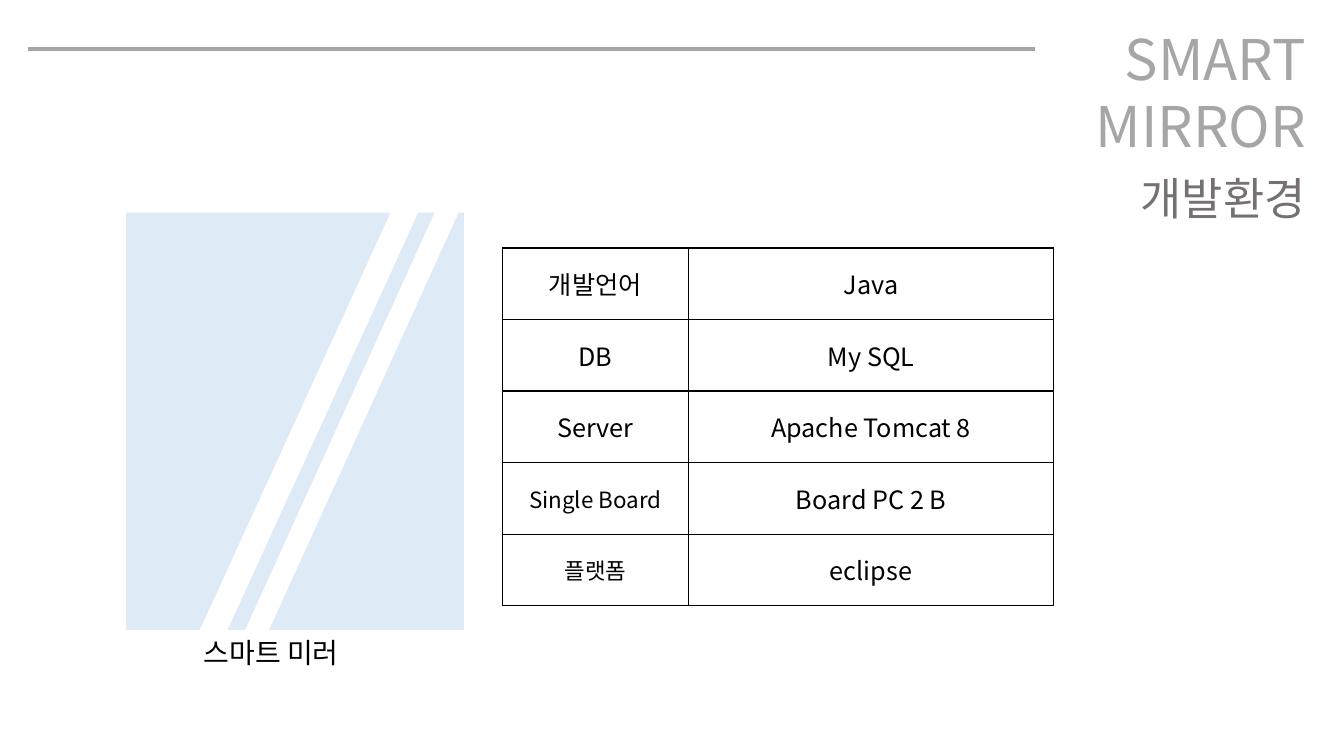
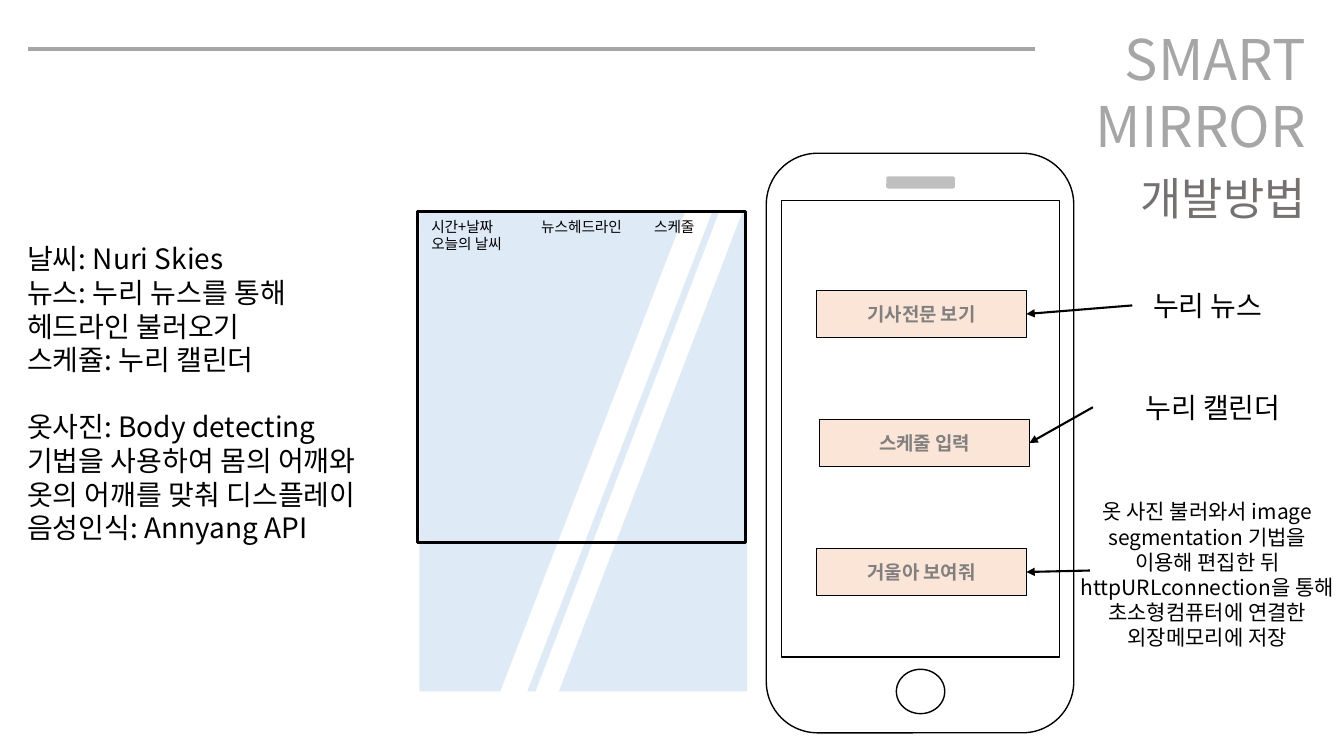
from lxml import etree
from pptx import Presentation
from pptx.dml.color import RGBColor
from pptx.enum.shapes import MSO_CONNECTOR as Connector, MSO_SHAPE as Shape
from pptx.enum.text import MSO_ANCHOR as Anchor, PP_ALIGN as Align
from pptx.oxml.ns import qn
from pptx.util import Inches, Pt

FONT = "Noto Sans CJK KR"
BLACK, WHITE, GREY, DARK_GREY = "000000", "FFFFFF", "A6A6A6", "767171"
GLASS, BUTTON, BUTTON_TEXT, SPEAKER = "DEEBF7", "FBE5D6", "808080", "BFBFBF"
STREAK_SLANTS = (0.88, 0.895)

ENVIRONMENT = [
    (("개발언어", 18), ("Java", 18)),
    (("DB", 18), ("My SQL", 18)),
    (("Server", 18), ("Apache Tomcat 8", 18)),
    (("Single Board", 16), ("Board PC 2 B", 18)),
    (("플랫폼", 16), ("eclipse", 18)),
]
TABLE_PLACE = (4.98, 2.46)
COLUMN_WIDTHS = (1.85, 3.62)
ROW_HEIGHT = 0.71

METHODS = [
    "날씨: Nuri Skies",
    "뉴스: 누리 뉴스를 통해 헤드라인 불러오기",
    "스케쥴: 누리 캘린더",
    "옷사진: Body detecting 기법을 사용하여 몸의 어깨와 옷의 어깨를 맞춰 디스플레이",
    "음성인식: Annyang API",
]
SECOND_TOPIC = 3
SCREEN_LINES = ["시간+날짜\t뉴스헤드라인\t스케줄", "오늘의 날씨"]
SCREEN_TABS = (1.09, 2.21)

PHONE_PARTS = [
    (Shape.ROUNDED_RECTANGLE, (7.6, 1.52, 3.05, 5.75), WHITE, BLACK),
    (Shape.RECTANGLE, (7.75, 1.99, 2.76, 4.53), None, BLACK),
    (Shape.OVAL, (8.89, 6.64, 0.48, 0.44), WHITE, BLACK),
    (Shape.ROUNDED_RECTANGLE, (8.79, 1.75, 0.68, 0.12), SPEAKER, None),
]
BUTTON_TOP, BUTTON_STEP = 2.88, 1.28
PHONE_BUTTONS = [
    {"label": "기사전문 보기", "left": 8.1, "note": ["누리 뉴스"],
     "place": (11.23, 2.81, 1.5, 0.44), "size": 20},
    {"label": "스케줄 입력", "left": 8.13, "note": ["누리 캘린더"],
     "place": (10.84, 3.82, 2.38, 0.44), "size": 20},
    {"label": "거울아 보여줘", "left": 8.1,
     "note": ["옷 사진 불러와서 image segmentation 기법을 이용해 편집한 뒤",
              "httpURLconnection을 통해 초소형컴퓨터에 연결한 외장메모리에 저장"],
     "place": (10.61, 4.9, 2.73, 1.62), "size": 15, "arrow_from": (10.81, 5.66)},
]


def color(value):
    return RGBColor.from_string(value)


def write(frame, lines, size, ink=BLACK, align=Align.LEFT, bold=False):
    frame.word_wrap = True
    for index, line in enumerate(lines):
        para = frame.paragraphs[0] if index == 0 else frame.add_paragraph()
        para.alignment = align
        span = para.add_run()
        span.text = line
        for name, value in {"size": Pt(size), "name": FONT, "bold": bold}.items():
            setattr(span.font, name, value)
        span.font.color.rgb = color(ink)
        east_asian = etree.SubElement(span.font._element, qn("a:ea"))
        east_asian.set("typeface", FONT)


def add_text(page, place, lines, size, **style):
    box = page.shapes.add_textbox(*map(Inches, place))
    write(box.text_frame, lines, size, **style)
    return box


def add_box(page, kind, place, fill=None, line=None, width=1):
    box = page.shapes.add_shape(kind, *map(Inches, place))
    box.shadow.inherit = False
    if fill:
        box.fill.solid()
        box.fill.fore_color.rgb = color(fill)
    else:
        box.fill.background()
    if line:
        box.line.color.rgb = color(line)
        box.line.width = Pt(width)
    else:
        box.line.fill.background()
    return box


def add_line(page, start, end, ink, width):
    line = page.shapes.add_connector(Connector.STRAIGHT, *map(Inches, start + end))
    line.line.color.rgb = color(ink)
    line.line.width = Pt(width)
    etree.SubElement(line._element.spPr, qn("a:effectLst"))
    return line


def add_page(deck, title):
    page = deck.slides.add_slide(deck.slide_layouts[6])
    add_line(page, (0.28, 0.49), (10.27, 0.49), GREY, 3)
    add_text(page, (9.47, 0.19, 3.58, 1.45), ["SMART", "MIRROR"], 40,
             ink=GREY, align=Align.RIGHT)
    add_text(page, (9.47, 1.64, 3.58, 0.64), [title], 32,
             ink=DARK_GREY, align=Align.RIGHT)
    return page


def add_mirror(page, place, streaks):
    add_box(page, Shape.RECTANGLE, place, GLASS)
    top, height = place[1], place[3]
    for (left, width), slant in zip(streaks, STREAK_SLANTS):
        streak = add_box(page, Shape.PARALLELOGRAM, (left, top, width, height), WHITE, WHITE)
        streak.adjustments[0] = slant


def set_borders(cell):
    properties = cell._tc.get_or_add_tcPr()
    for index, side in enumerate(("lnL", "lnR", "lnT", "lnB")):
        border = etree.Element(qn(f"a:{side}"), w=str(Pt(1)))
        fill = etree.SubElement(border, qn("a:solidFill"))
        etree.SubElement(fill, qn("a:srgbClr"), val=BLACK)
        properties.insert(index, border)


def add_environment_table(page):
    size = (sum(COLUMN_WIDTHS), ROW_HEIGHT * len(ENVIRONMENT))
    table = page.shapes.add_table(len(ENVIRONMENT), len(COLUMN_WIDTHS),
                                  *map(Inches, TABLE_PLACE + size)).table
    table.first_row = table.horz_banding = False
    for column, width in zip(table.columns, COLUMN_WIDTHS):
        column.width = Inches(width)
    for row_index, row in enumerate(ENVIRONMENT):
        table.rows[row_index].height = Inches(ROW_HEIGHT)
        for column_index, (label, text_size) in enumerate(row):
            cell = table.cell(row_index, column_index)
            cell.vertical_anchor = Anchor.MIDDLE
            cell.fill.solid()
            cell.fill.fore_color.rgb = color(WHITE)
            write(cell.text_frame, [label], text_size, align=Align.CENTER)
            set_borders(cell)


def add_phone_button(page, index, item):
    place = (item["left"], BUTTON_TOP + index * BUTTON_STEP, 2.08, 0.47)
    button = add_box(page, Shape.RECTANGLE, place, BUTTON, BLACK)
    button.text_frame.vertical_anchor = Anchor.MIDDLE
    write(button.text_frame, [item["label"]], 13.5, ink=BUTTON_TEXT,
          align=Align.CENTER, bold=True)
    note = add_text(page, item["place"], item["note"], item["size"], align=Align.CENTER)
    left, top, width, height = item["place"]
    start = item.get("arrow_from", (left, top + height / 2))
    end = (place[0] + place[2], place[1] + place[3] / 2)
    arrow = add_line(page, start, end, BLACK, 1.5)
    if "arrow_from" not in item:
        arrow.begin_connect(note, 1)
    arrow.end_connect(button, 3)
    etree.SubElement(arrow.line._get_or_add_ln(), qn("a:tailEnd"), type="triangle")


def build_environment(deck):
    page = add_page(deck, "개발환경")
    add_mirror(page, (1.25, 2.11, 3.35, 4.14), [(1.99, 2.15), (2.44, 2.1)])
    add_text(page, (1.92, 6.26, 1.87, 0.44), ["스마트 미러"], 20)
    add_environment_table(page)


def build_method(deck):
    page = add_page(deck, "개발방법")
    add_mirror(page, (4.16, 2.09, 3.25, 4.77), [(4.97, 2.09), (5.32, 2.04)])
    add_box(page, Shape.RECTANGLE, (4.14, 2.1, 3.25, 3.28), line=BLACK, width=2.25)
    screen = add_text(page, (4.18, 2.11, 3.17, 0.45), SCREEN_LINES, 10.5)
    tabs = etree.SubElement(screen.text_frame.paragraphs[0]._p.get_or_add_pPr(), qn("a:tabLst"))
    for position in SCREEN_TABS:
        etree.SubElement(tabs, qn("a:tab"), pos=str(Inches(position)), algn="l")
    methods = add_text(page, (0.17, 2.35, 3.83, 3.47), METHODS, 20)
    methods.text_frame.paragraphs[SECOND_TOPIC].space_before = Pt(24)
    for kind, place, fill, line in PHONE_PARTS:
        add_box(page, kind, place, fill, line)
    for index, item in enumerate(PHONE_BUTTONS):
        add_phone_button(page, index, item)


def main():
    deck = Presentation()
    deck.slide_width, deck.slide_height = Inches(13.33), Inches(7.5)
    build_environment(deck)
    build_method(deck)
    deck.save("out.pptx")


if __name__ == "__main__":
    main()
